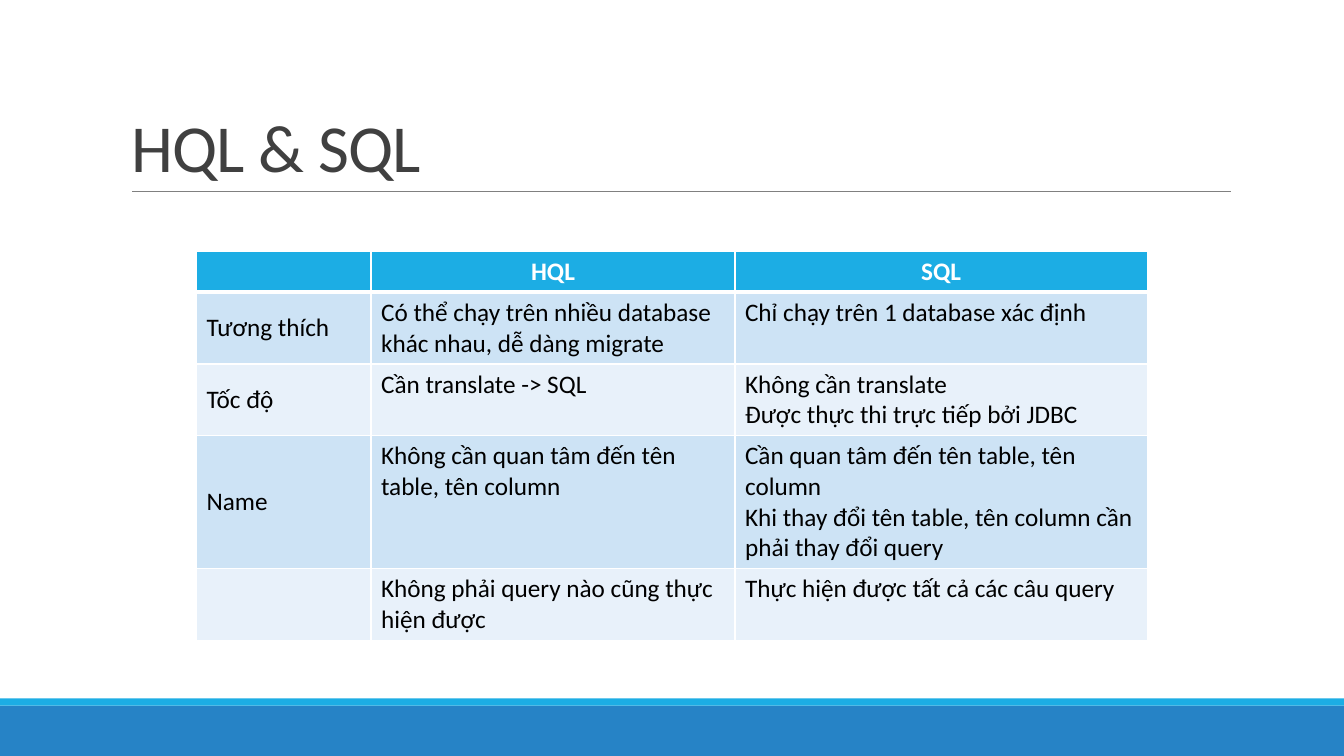
from lxml import etree
from pptx import Presentation
from pptx.dml.color import RGBColor
from pptx.enum.shapes import MSO_CONNECTOR, MSO_SHAPE
from pptx.enum.text import MSO_ANCHOR, MSO_AUTO_SIZE, PP_ALIGN
from pptx.oxml import parse_xml
from pptx.oxml.ns import nsdecls, qn
from pptx.util import Inches, Pt

RECT = MSO_SHAPE.RECTANGLE
STRAIGHT = MSO_CONNECTOR.STRAIGHT
TOP, MIDDLE, BOTTOM = MSO_ANCHOR.TOP, MSO_ANCHOR.MIDDLE, MSO_ANCHOR.BOTTOM
LEFT, CENTER = PP_ALIGN.LEFT, PP_ALIGN.CENTER
NO_FIT = MSO_AUTO_SIZE.NONE

WHITE = RGBColor(0xFF, 0xFF, 0xFF)
BLACK = RGBColor(0x00, 0x00, 0x00)
DARK = RGBColor(0x40, 0x40, 0x40)
GRAY = RGBColor(0x80, 0x80, 0x80)
CYAN = RGBColor(0x1C, 0xAD, 0xE4)
BLUE = RGBColor(0x26, 0x83, 0xC6)
BAND_DARK = RGBColor(0xCD, 0xE3, 0xF5)
BAND_LIGHT = RGBColor(0xE8, 0xF1, 0xFA)

COLUMNS = [1.73, 3.61, 4.09]
ROWS = [0.41, 0.7, 0.7, 1.3, 0.7]
CELLS = [
    ["", "HQL", "SQL"],
    ["Tương thích",
     "Có thể chạy trên nhiều database khác nhau, dễ dàng migrate",
     "Chỉ chạy trên 1 database xác định"],
    ["Tốc độ",
     "Cần translate -> SQL",
     "Không cần translate\nĐược thực thi trực tiếp bởi JDBC"],
    ["Name",
     "Không cần quan tâm đến tên table, tên column",
     "Cần quan tâm đến tên table, tên column\n"
     "Khi thay đổi tên table, tên column cần phải thay đổi query"],
    ["",
     "Không phải query nào cũng thực hiện được",
     "Thực hiện được tất cả các câu query"],
]


class SlideBuilder:
    """Holds the style and the current slide."""

    font = "Calibri"

    def __init__(self, slide):
        self.s = slide

    def style(self, p, size, color, align=LEFT, bold=False):
        p.alignment = align
        p.font.name = self.font
        p.font.size = Pt(size)
        p.font.bold = bold
        p.font.color.rgb = color

    def title(self, text, x, y, w, h):
        sp = self.s.shapes.title
        sp.left, sp.top, sp.width, sp.height = map(Inches, (x, y, w, h))
        tf = sp.text_frame
        tf.text = text
        tf.word_wrap = True
        tf.auto_size = NO_FIT
        tf.vertical_anchor = BOTTOM
        p = tf.paragraphs[0]
        p.line_spacing = 0.85
        self.style(p, 48, DARK)
        # Letter spacing in hundredths of a point
        p.runs[0]._r.get_or_add_rPr().set("spc", "-50")

    def bar(self, x, y, w, h, color):
        sp = self.s.shapes.add_shape(RECT, *map(Inches, (x, y, w, h)))
        sp.shadow.inherit = False
        sp.fill.solid()
        sp.fill.fore_color.rgb = color
        sp.line.fill.background()

    def rule(self, x1, x2, y, color, width):
        line = self.s.shapes.add_connector(STRAIGHT, *map(Inches, (x1, y, x2, y)))
        line.line.color.rgb = color
        line.line.width = Pt(width)
        etree.SubElement(line._element.spPr, qn("a:effectLst"))

    def borders(self, cell, top, bottom):
        tcPr = cell._tc.get_or_add_tcPr()
        sides = [("lnL", 1), ("lnR", 1), ("lnT", top), ("lnB", bottom)]
        for i, (side, width) in enumerate(sides):
            tcPr.insert(i, parse_xml(
                f'<a:{side} {nsdecls("a")} w="{Pt(width)}"><a:solidFill>'
                f'<a:srgbClr val="{WHITE}"/></a:solidFill></a:{side}>'))

    def cell(self, cell, text, row, col):
        header = row == 0
        cell.text = text
        cell.vertical_anchor = MIDDLE if header or col == 0 else TOP
        cell.fill.solid()
        cell.fill.fore_color.rgb = (
            CYAN if header else BAND_DARK if row % 2 else BAND_LIGHT)
        for p in cell.text_frame.paragraphs:
            self.style(p, 18, WHITE if header else BLACK,
                       CENTER if header else LEFT, header)
        self.borders(cell, 3 if row == 1 else 1, 3 if header else 1)

    def table(self, x, y, columns, rows, cells):
        size = map(Inches, (x, y, sum(columns), sum(rows)))
        table = self.s.shapes.add_table(len(rows), len(columns), *size).table
        for column, width in zip(table.columns, columns):
            column.width = Inches(width)
        for row, height in zip(table.rows, rows):
            row.height = Inches(height)
        for i, texts in enumerate(cells):
            for j, text in enumerate(texts):
                self.cell(table.cell(i, j), text, i, j)


def main():
    prs = Presentation()
    prs.slide_width, prs.slide_height = Inches(13.33), Inches(7.5)
    slide = SlideBuilder(prs.slides.add_slide(prs.slide_layouts[5]))

    # Footer bars
    slide.bar(0, 7, 13.33, 0.5, BLUE)
    slide.bar(0, 6.93, 13.33, 0.07, CYAN)

    # Title and its rule
    slide.rule(1.31, 12.21, 1.9, GRAY, 0.5)
    slide.title("HQL & SQL", 1.2, 0.31, 11, 1.59)

    # Comparison table
    slide.table(1.95, 2.49, COLUMNS, ROWS, CELLS)

    prs.save("out.pptx")


if __name__ == "__main__":
    main()
